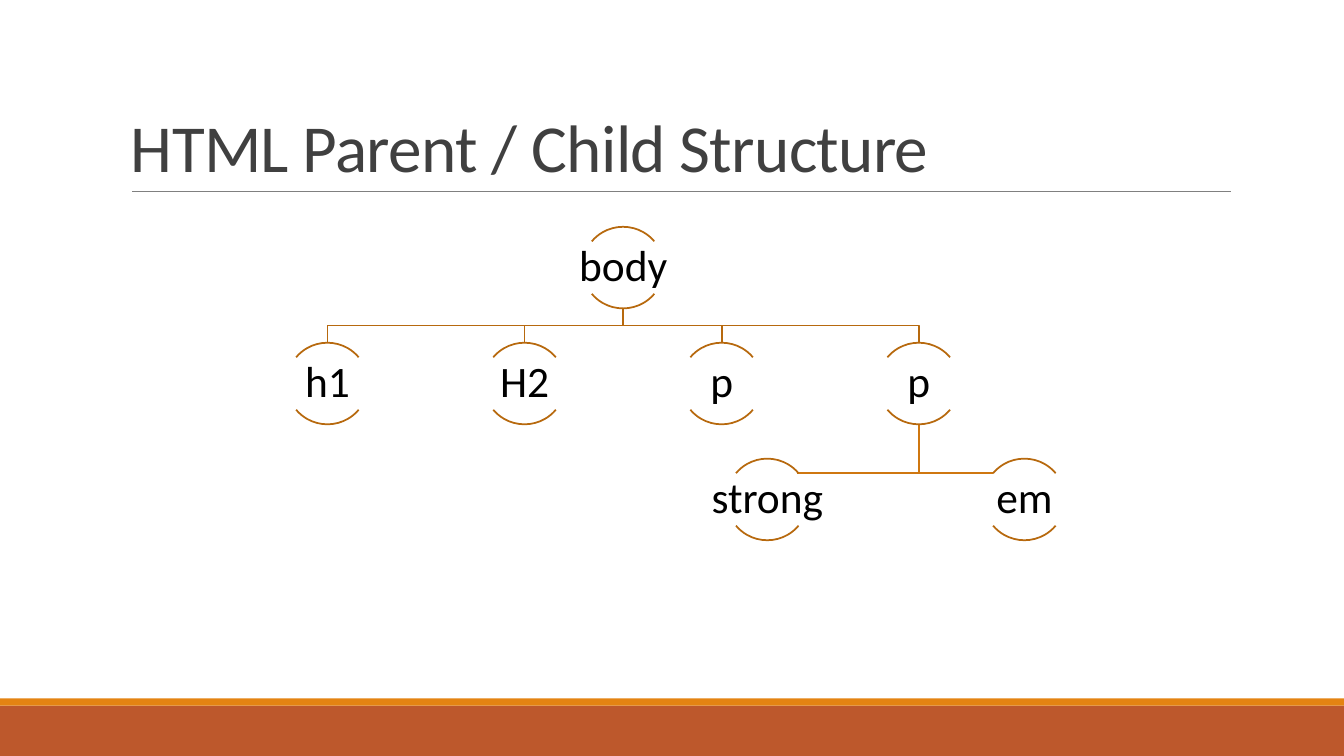
"""Builds a slide with the HTML parent and child tree."""
from lxml import etree
from pptx import Presentation
from pptx.dml.color import RGBColor
from pptx.enum import shapes, text
from pptx.oxml.ns import qn
from pptx.util import Inches, Pt

RUST = RGBColor(0xBD, 0x58, 0x2C)
ORANGE = RGBColor(0xE4, 0x83, 0x12)
BROWN = RGBColor(0xB7, 0x69, 0x0E)
AMBER = RGBColor(0xCF, 0x77, 0x10)
GRAY = RGBColor(0x80, 0x80, 0x80)
DARK = RGBColor(0x40, 0x40, 0x40)
BLACK = RGBColor(0, 0, 0)

deck = Presentation()
deck.slide_width, deck.slide_height = Inches(13.33), Inches(7.5)
slide = deck.slides.add_slide(deck.slide_layouts[6])
items = slide.shapes


def write(words, box, size, color, space):
    """Add a one-line text box and return it with its paragraph and run."""
    label = items.add_textbox(*map(Inches, box))
    label.text_frame.word_wrap = True
    para = label.text_frame.paragraphs[0]
    para.line_spacing = space
    run = para.add_run()
    run.text = words
    run.font.name, run.font.size = "Calibri", Pt(size)
    run.font.color.rgb = color
    return label.text_frame, para, run


def trace(points, color):
    """Draw an open path through points given in inches."""
    spots = [(Inches(x), Inches(y)) for x, y in points]
    pen = items.build_freeform(*spots[0])
    pen.add_line_segments(spots[1:], close=False)
    path = pen.convert_to_shape()
    path.shadow.inherit = False
    path.fill.background()
    path.line.color.rgb, path.line.width = color, Pt(1.25)


for top, high, color in ((7, 0.5, RUST), (6.93, 0.07, ORANGE)):
    band = items.add_shape(shapes.MSO_SHAPE.RECTANGLE, 0, Inches(top),
                           deck.slide_width, Inches(high))
    band.shadow.inherit = False
    band.fill.solid()
    band.fill.fore_color.rgb = color
    band.line.fill.background()

rule = items.add_connector(shapes.MSO_CONNECTOR.STRAIGHT, Inches(1.31),
                           Inches(1.9), Inches(12.21), Inches(1.9))
rule.line.color.rgb, rule.line.width = GRAY, Pt(0.5)
etree.SubElement(rule._element.spPr, qn("a:effectLst"))

frame, para, run = write("HTML Parent / Child Structure",
                         (1.2, 0.31, 11, 1.59), 48, DARK, 0.85)
frame.vertical_anchor = text.MSO_ANCHOR.BOTTOM
run._r.get_or_add_rPr().set("spc", "-50")

SIZE, STEP, TOP = 0.81, 1.15, 2.25
ROOT = 6.18
rows = [TOP + STEP * i for i in range(3)]
kids = [ROOT + 1.955 * (i - 1.5) for i in range(4)]
last = kids[-1]

for end in (7.91, 9.85):
    bend = rows[2] + 0.145
    trace([(last, rows[1] + SIZE), (last, bend), (end, bend)], AMBER)
for kid in reversed(kids):
    base = rows[0] + SIZE
    bend = (base + rows[1]) / 2
    trace([(ROOT, base), (ROOT, bend), (kid, bend), (kid, rows[1])], BROWN)

nodes = [("body", ROOT, rows[0])]
nodes += [(tag, x, rows[1]) for tag, x in zip(("h1", "H2", "p", "p"), kids)]
nodes += [("em", 10.16, rows[2]), ("strong", 7.61, rows[2])]
for tag, x, y in nodes:
    for start, stop in ((132, 192), (24, 84)):
        arc = items.add_shape(shapes.MSO_SHAPE.ARC, Inches(x - SIZE / 2),
                              Inches(y), Inches(SIZE), Inches(SIZE))
        arc.shadow.inherit = False
        arc.adjustments[0], arc.adjustments[1] = start, stop
        arc.fill.background()
        arc.line.color.rgb, arc.line.width = BROWN, Pt(1.25)
    frame, para, run = write(tag, (x - 0.805, y + 0.145, 1.61, 0.52),
                             31, BLACK, 0.9)
    frame.vertical_anchor = text.MSO_ANCHOR.MIDDLE
    frame.margin_left = frame.margin_right = Inches(0.02)
    frame.margin_top = frame.margin_bottom = Inches(0.02)
    para.alignment = text.PP_ALIGN.CENTER

deck.save("out.pptx")
